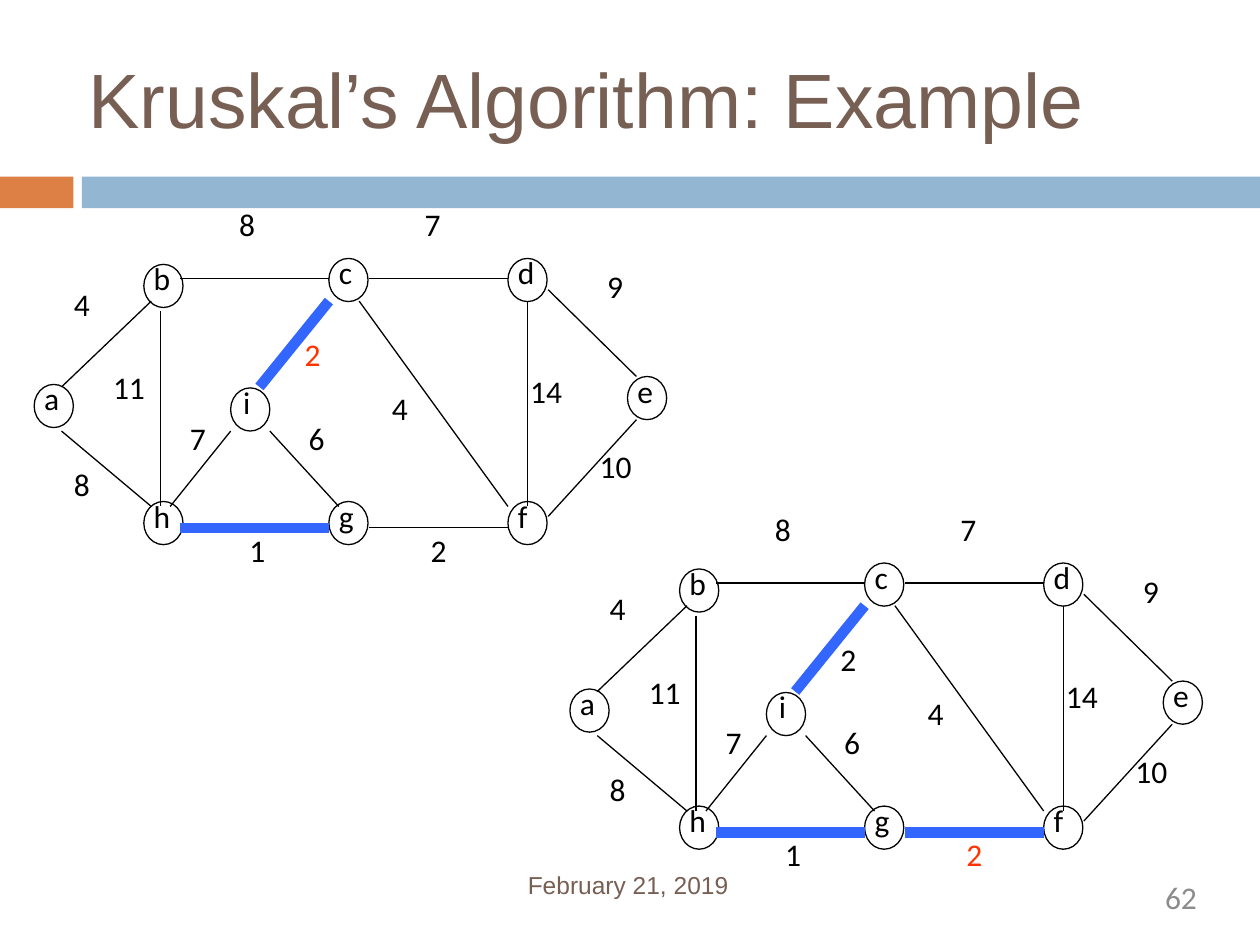
import pptx
import pptx.util
import pptx.dml.color
import pptx.enum.shapes
import pptx.enum.text
import pptx.oxml.ns
import lxml.etree

Cm = pptx.util.Cm
Pt = pptx.util.Pt
RGBColor = pptx.dml.color.RGBColor
Shape = pptx.enum.shapes.MSO_SHAPE
Align = pptx.enum.text.PP_ALIGN

BLACK = RGBColor(0x00, 0x00, 0x00)
BROWN = RGBColor(0x77, 0x5F, 0x54)
GRAY = RGBColor(0x8C, 0x8C, 0x8C)
ORANGE = RGBColor(0xDD, 0x80, 0x46)
PALE_BLUE = RGBColor(0x93, 0xB6, 0xD2)
TREE_BLUE = RGBColor(0x33, 0x66, 0xFF)
NEWEST_RED = RGBColor(0xFF, 0x33, 0x00)

NODE_WIDTH, NODE_HEIGHT = 0.79, 0.87

NODES = {
    "a": (0.69, 7.75),
    "b": (2.9, 5.33),
    "h": (2.9, 10.11),
    "c": (6.63, 5.21),
    "d": (10.24, 5.21),
    "e": (12.65, 7.59),
    "f": (10.24, 10.11),
    "g": (6.63, 10.11),
    "i": (4.65, 7.82),
}

# name: line start, line end, weight, weight position
EDGES = {
    "ab": ((1.24, 7.8), (3.05, 6.07), "4", (1.24, 5.61)),
    "ah": ((1.24, 8.69), (3.05, 10.21), "8", (1.24, 9.25)),
    "bh": ((3.23, 6.27), (3.23, 10.21), "11", (2.03, 7.29)),
    "bc": ((3.63, 5.61), (6.63, 5.61), "8", (4.57, 4.01)),
    "hg": ((3.63, 10.64), (6.63, 10.64), "1", (4.78, 10.57)),
    "gf": ((7.44, 10.64), (10.24, 10.64), "2", (8.43, 10.57)),
    "cf": ((7.24, 6.07), (10.24, 10.21), "4", (7.65, 7.72)),
    "cd": ((7.44, 5.61), (10.24, 5.61), "7", (8.31, 4.01)),
    "df": ((10.64, 6.07), (10.64, 10.21), "14", (10.44, 7.37)),
    "de": ((11.05, 5.84), (12.83, 7.59), "9", (11.99, 5.26)),
    "fe": ((11.05, 10.41), (12.83, 8.46), "10", (11.84, 8.89)),
    "ig": ((5.44, 8.69), (6.83, 10.21), "6", (5.97, 8.31)),
    "hi": ((3.43, 10.21), (4.65, 8.69), "7", (3.58, 8.31)),
    "ic": ((5.23, 7.8), (6.63, 6.07), "2", (5.89, 6.63)),
}

STEPS = [
    ((0, 0), ("hg", "ic"), "ic"),
    ((10.8, 6.14), ("hg", "ic", "gf"), "gf"),
]


def write(frame, text, size, font, color):
    para = frame.paragraphs[0]
    span = para.add_run()
    span.text = text
    span.font.size = Pt(size)
    span.font.name = font
    span.font.color.rgb = color
    return para


def add_text(shapes, text, left, top, width, height, size=18, font="Calibri",
             color=BLACK, margins=(0.25, 0.13)):
    box = shapes.add_textbox(Cm(left), Cm(top), Cm(width), Cm(height))
    frame = box.text_frame
    frame.word_wrap = True
    frame.margin_left = frame.margin_right = Cm(margins[0])
    frame.margin_top = frame.margin_bottom = Cm(margins[1])
    return write(frame, text, size, font, color)


deck = pptx.Presentation()
deck.slide_width = Cm(25.4)
deck.slide_height = Cm(19.05)
page = deck.slides.add_slide(deck.slide_layouts[5])

title = page.shapes.title
title.left, title.top, title.width, title.height = Cm(1.78), Cm(0.97), Cm(21.84), Cm(1.93)
frame = title.text_frame
frame.margin_left = frame.margin_right = frame.margin_top = frame.margin_bottom = 0
frame.vertical_anchor = pptx.enum.text.MSO_ANCHOR.BOTTOM
frame.auto_size = pptx.enum.text.MSO_AUTO_SIZE.NONE
write(frame, "Kruskal’s Algorithm: Example", 44, "Arial", BROWN).alignment = Align.LEFT

for left, width, color in ((0, 1.48, ORANGE), (1.65, 23.75, PALE_BLUE)):
    bar = page.shapes.add_shape(Shape.RECTANGLE, Cm(left), Cm(3.56), Cm(width), Cm(0.64))
    bar.shadow.inherit = False
    bar.fill.solid()
    bar.fill.fore_color.rgb = color
    bar.line.fill.background()

date = add_text(page.shapes, "February 21, 2019", 10.64, 17.58, 5.89, 0.61,
                14, "Arial", BROWN, (0, 0))
date.line_spacing = Pt(15.8)
number = add_text(page.shapes, "62", 18.29, 17.7, 5.84, 0.97, 18, "Calibri", GRAY, (0, 0))
number.alignment = Align.RIGHT

for (shift_x, shift_y), tree, newest in STEPS:
    graph = page.shapes.add_group_shape().shapes

    for name, (x, y) in NODES.items():
        left, top = x + shift_x, y + shift_y
        indent = 0 if name == "i" else 0.05
        add_text(graph, name, left - indent, top - 0.23, 0.85, 1.19)
        node = graph.add_shape(Shape.OVAL, Cm(left), Cm(top), Cm(NODE_WIDTH), Cm(NODE_HEIGHT))
        node.shadow.inherit = False
        node.fill.background()
        node.line.color.rgb = BLACK
        node.line.width = Pt(0.75)

    for name, (start, end, weight, place) in EDGES.items():
        edge = graph.add_connector(
            pptx.enum.shapes.MSO_CONNECTOR.STRAIGHT,
            Cm(start[0] + shift_x), Cm(start[1] + shift_y),
            Cm(end[0] + shift_x), Cm(end[1] + shift_y))
        edge.line.color.rgb = TREE_BLUE if name in tree else BLACK
        edge.line.width = Pt(6 if name in tree else 0.75)
        lxml.etree.SubElement(edge._element.spPr, pptx.oxml.ns.qn("a:effectLst"))

    for name, (start, end, weight, place) in EDGES.items():
        add_text(graph, weight, place[0] + shift_x, place[1] + shift_y,
                 0.94 if len(weight) == 1 else 1.35, 1.4,
                 color=NEWEST_RED if name == newest else BLACK)

deck.save("out.pptx")
